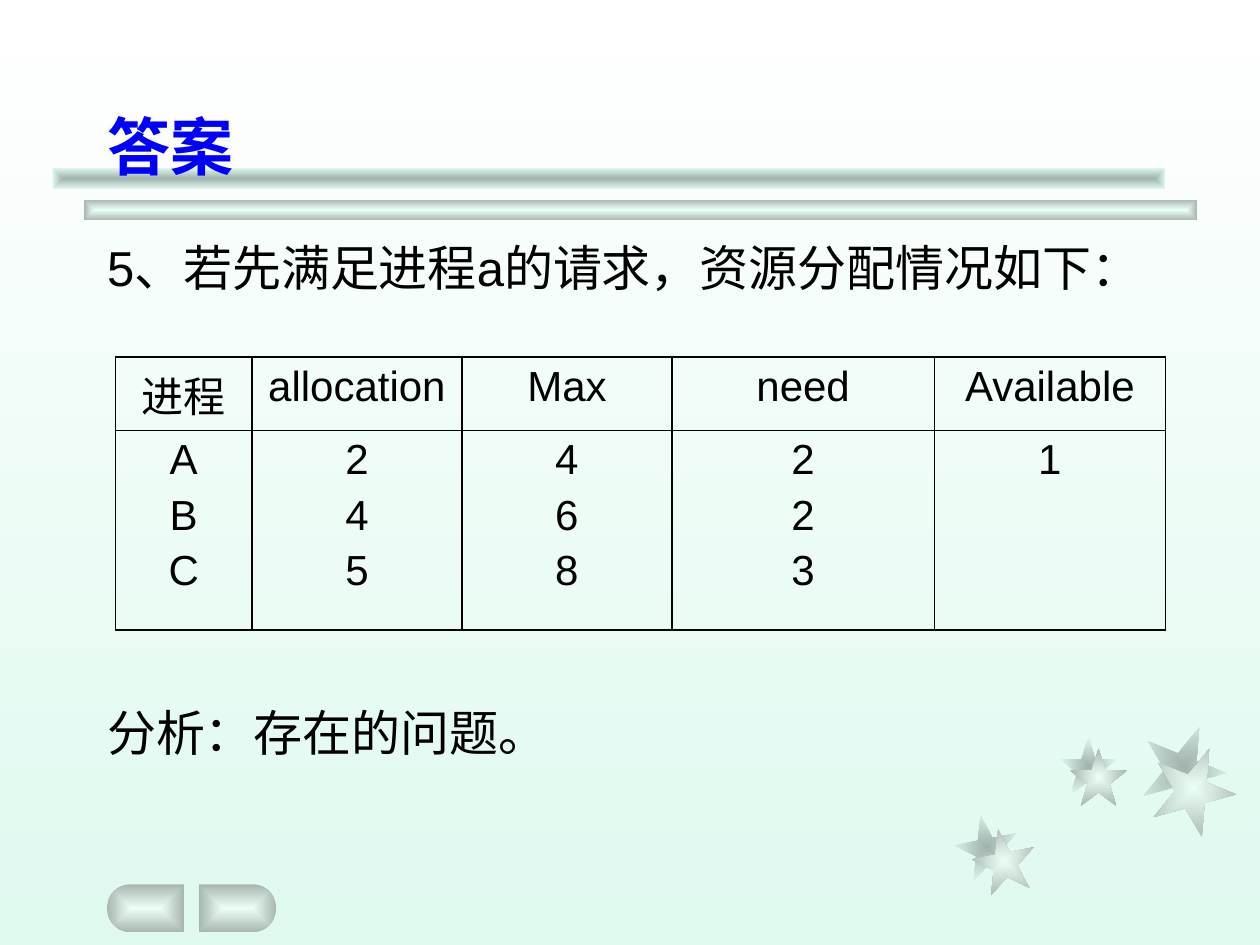
from math import cos, pi, sin

from lxml.etree import SubElement
from pptx import Presentation
from pptx.dml.color import RGBColor
from pptx.enum.shapes import MSO_SHAPE as SHAPE
from pptx.enum.text import MSO_ANCHOR as ANCHOR, MSO_AUTO_SIZE as AUTO_SIZE, PP_ALIGN as ALIGN
from pptx.oxml.ns import qn
from pptx.util import Pt

SHADE = ("A0B2AB", "DFF9EF")
GLOW = ("EBFFF5", "A8B6AF")


def color(hex_text):
    return RGBColor.from_string(hex_text)


def fill_from_center(shape, colors):
    """Gradient that runs from the middle of the shape to its edges."""
    shape.shadow.inherit = False
    shape.line.fill.background()
    shape.fill.gradient()
    for stop, hex_text in zip(shape.fill.gradient_stops, colors):
        stop.color.rgb = color(hex_text)
    gradient = shape.element.spPr.find(qn("a:gradFill"))
    gradient.remove(gradient.find(qn("a:lin")))
    center = SubElement(gradient, qn("a:path"), path="shape")
    SubElement(center, qn("a:fillToRect"), l="50000", t="50000", r="50000", b="50000")


prs = Presentation()
prs.slide_width, prs.slide_height = Pt(720), Pt(540)
slide = prs.slides.add_slide(prs.slide_layouts[1])
shapes = slide.shapes

# Background
backdrop = slide.background.fill
backdrop.gradient()
backdrop.gradient_angle = 270
for stop, hex_text in zip(backdrop.gradient_stops, ("FFFFFF", "DFF9EF")):
    stop.color.rgb = color(hex_text)

# Stars, the shaded ones behind the bright ones
for left, top, size, angle, colors in (
    (545.8, 465.8, 36, 349, SHADE),
    (605.5, 421.2, 33, 0, SHADE),
    (652.3, 414, 48, 22, SHADE),
    (555.8, 473.8, 36, 349, GLOW),
    (611.3, 427.7, 33, 0, GLOW),
    (658, 426.2, 48, 22, GLOW),
):
    star = shapes.add_shape(SHAPE.STAR_5_POINT, Pt(left), Pt(top), Pt(size), Pt(size))
    star.rotation = angle
    fill_from_center(star, colors)

# Bars under the title
for left, top, colors in ((48, 114, GLOW), (30, 96, SHADE)):
    bar = shapes.add_shape(SHAPE.RECTANGLE, Pt(left), Pt(top), Pt(636), Pt(12))
    fill_from_center(bar, colors)

# Buttons, each rounded on its outer side
radius, button_width, button_middle = 13.7, 44, 519
for inner_edge, side in ((105.2, -1), (113.8, 1)):
    arc_center = inner_edge + side * (button_width - radius)
    outline = shapes.build_freeform(Pt(inner_edge), Pt(button_middle - radius))
    arc = [-pi / 2 + pi * step / 20 for step in range(21)]
    points = [
        (Pt(arc_center + side * radius * cos(a)), Pt(button_middle + radius * sin(a)))
        for a in arc
    ]
    outline.add_line_segments(points + [(Pt(inner_edge), Pt(button_middle + radius))])
    fill_from_center(outline.convert_to_shape(), GLOW)

# Title and body, in front of the decoration
title, body = shapes.title, slide.placeholders[1]
for holder, top, height, anchor in (
    (title, 18, 90, ANCHOR.BOTTOM),
    (body, 132, 366, ANCHOR.TOP),
):
    holder.left, holder.top, holder.width, holder.height = Pt(54), Pt(top), Pt(612), Pt(height)
    holder.text_frame.auto_size = AUTO_SIZE.NONE
    holder.text_frame.vertical_anchor = anchor
    holder.element.getparent().append(holder.element)

title.text_frame.text = "答案"
heading = title.text_frame.paragraphs[0]
heading.alignment = ALIGN.LEFT
heading.font.name, heading.font.size, heading.font.bold = "Arial", Pt(36), True
heading.font.color.rgb = color("0000FF")

body.text_frame.text = "5、若先满足进程a的请求，资源分配情况如下：\n分析：存在的问题。"
for paragraph, space in zip(body.text_frame.paragraphs, (0, 232)):
    properties = paragraph._p.get_or_add_pPr()
    properties.set("marL", str(Pt(7.2)))
    properties.set("indent", str(Pt(-7.2)))
    SubElement(properties, qn("a:buNone"))
    paragraph.alignment = ALIGN.JUSTIFY
    paragraph.space_before = Pt(space)
    paragraph.font.name, paragraph.font.size = "Arial", Pt(28)
    paragraph.font.color.rgb = color("000000")

# Allocation table
rows = (
    ("进程", "allocation", "Max", "need", "Available"),
    ("A\nB\nC", "2\n4\n5", "4\n6\n8", "2\n2\n3", "1"),
)
allocation = shapes.add_table(2, 5, Pt(66), Pt(204), Pt(600), Pt(156)).table
allocation.first_row = allocation.horz_banding = False
for column, width in zip(allocation.columns, (78, 120, 120, 150, 132)):
    column.width = Pt(width)
for row, height in zip(allocation.rows, (42, 114)):
    row.height = Pt(height)

for r, texts in enumerate(rows):
    for c, text in enumerate(texts):
        cell = allocation.cell(r, c)
        cell.text_frame.text = text
        for i, paragraph in enumerate(cell.text_frame.paragraphs):
            paragraph.alignment = ALIGN.CENTER
            paragraph.space_before = Pt(4.8 if i else 0)
            paragraph.font.name, paragraph.font.size = "Arial", Pt(24)
            paragraph.font.color.rgb = color("000000")
        borders = cell._tc.get_or_add_tcPr()
        for edge in ("a:lnL", "a:lnR", "a:lnT", "a:lnB"):
            line = SubElement(borders, qn(edge), w=str(Pt(1)))
            SubElement(SubElement(line, qn("a:solidFill")), qn("a:srgbClr"), val="000000")
        cell.fill.background()

prs.save("out.pptx")
